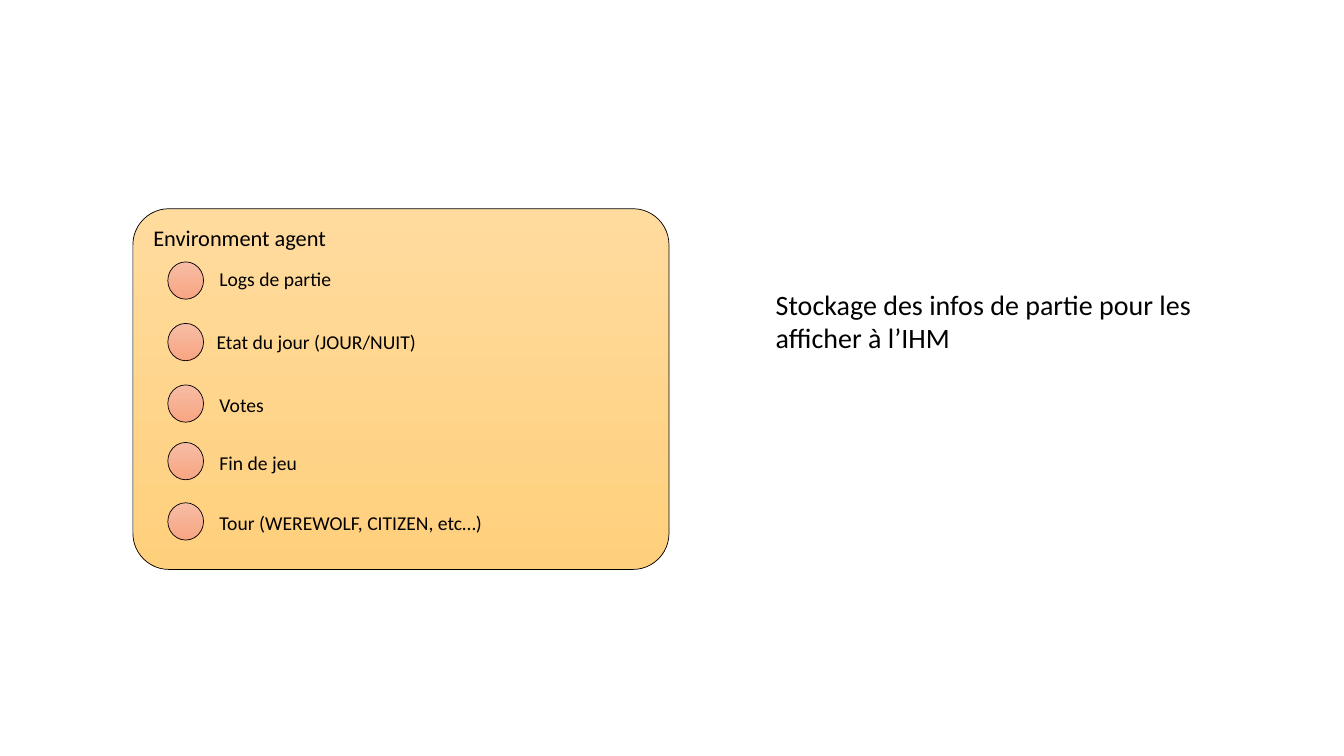
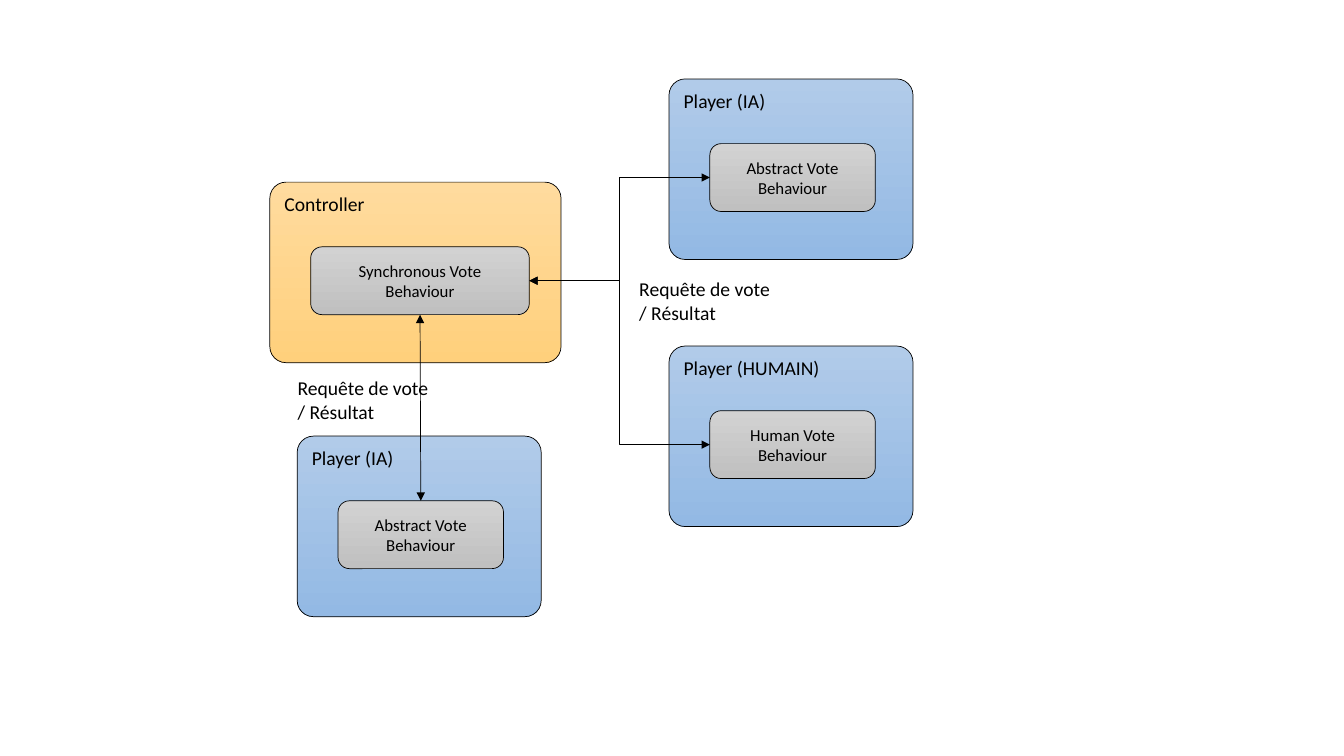
"""Build two slides on the agents of a voting game."""
from lxml import etree
from pptx import Presentation
from pptx.dml.color import RGBColor
from pptx.enum.shapes import MSO_CONNECTOR, MSO_SHAPE
from pptx.enum.text import MSO_ANCHOR, PP_ALIGN
from pptx.oxml.ns import qn
from pptx.util import Cm, Pt

ROUND, OVAL = MSO_SHAPE.ROUNDED_RECTANGLE, MSO_SHAPE.OVAL
ELBOW, STRAIGHT = MSO_CONNECTOR.ELBOW, MSO_CONNECTOR.STRAIGHT
TOP, MIDDLE = MSO_ANCHOR.TOP, MSO_ANCHOR.MIDDLE
LEFT, CENTER = PP_ALIGN.LEFT, PP_ALIGN.CENTER
NORTH, WEST, SOUTH, EAST = range(4)

BLACK = RGBColor(0x00, 0x00, 0x00)
GOLD = (RGBColor(0xFF, 0xDB, 0x9E), RGBColor(0xFF, 0xD0, 0x7C))
CORAL = (RGBColor(0xF7, 0xBD, 0xA5), RGBColor(0xF8, 0xA5, 0x82))
BLUE = (RGBColor(0xB1, 0xCB, 0xE9), RGBColor(0x93, 0xB9, 0xE4))
GRAY = (RGBColor(0xD2, 0xD2, 0xD2), RGBColor(0xC0, 0xC0, 0xC0))
FONT = "Calibri"
THIN = Pt(0.5)

ITEMS = [
    ("Logs de partie", 6.6, 5.28, 6.6),
    ("Etat du jour (JOUR/NUIT)", 8.15, 5.21, 8.18),
    ("Votes", 9.7, 5.28, 9.78),
    ("Fin de jeu", 11.15, 5.28, 11.25),
    ("Tour (WEREWOLF, CITIZEN, etc…)", 12.67, 5.28, 12.75),
]
REQUEST = "Requête de vote / Résultat"


def write(shape, text, size, align=LEFT, anchor=TOP):
    """Put wrapped black text into a shape."""
    frame = shape.text_frame
    frame.word_wrap = True
    frame.vertical_anchor = anchor
    frame.text = text
    para = frame.paragraphs[0]
    para.alignment = align
    font = para.runs[0].font
    font.name, font.size = FONT, Pt(size)
    font.color.rgb = BLACK


def add_box(slide, kind, x, y, w, h, tones):
    """Add an outlined shape shaded from top to bottom."""
    box = slide.shapes.add_shape(kind, Cm(x), Cm(y), Cm(w), Cm(h))
    box.shadow.inherit = False
    box.fill.gradient()
    box.fill.gradient_angle = 270
    for stop, tone, place in zip(box.fill.gradient_stops, tones, (0, 1)):
        stop.color.rgb = tone
        stop.position = place
    box.line.color.rgb = BLACK
    box.line.width = THIN
    return box


def add_label(slide, text, x, y, w, h, size):
    """Add a plain text box."""
    write(slide.shapes.add_textbox(Cm(x), Cm(y), Cm(w), Cm(h)), text, size)


def add_agent(slide, name, task, x, y, w, inner, tones):
    """Add an agent with its behaviour and return the behaviour box."""
    agent = add_box(slide, ROUND, x, y, w, 4.55, tones)
    agent.adjustments[0] = 0.09
    write(agent, name, 14)
    box = add_box(slide, ROUND, x + 1.03, y + 1.63, inner, 1.71, GRAY)
    write(box, task, 12, CENTER, MIDDLE)
    return box


def link(slide, kind, start, side, end, goal):
    """Join two boxes with a double-headed arrow."""
    line = slide.shapes.add_connector(kind, 0, 0, 0, 0)
    line.begin_connect(start, side)
    line.end_connect(end, goal)
    line.line.color.rgb = BLACK
    line.line.width = THIN
    stroke = line.line._get_or_add_ln()
    for tag in ("a:headEnd", "a:tailEnd"):
        etree.SubElement(stroke, qn(tag), type="triangle")
    etree.SubElement(line._element.spPr, qn("a:effectLst"))


def build_store(slide):
    """Show what the environment agent keeps."""
    panel = add_box(slide, ROUND, 3.35, 5.26, 13.51, 9.09, GOLD)
    panel.adjustments[0] = 0.1
    write(panel, "Environment agent", 16)
    for text, dot, left, top in ITEMS:
        add_box(slide, OVAL, 4.23, dot, 0.9, 0.94, CORAL)
        add_label(slide, text, left, top, 7.5, 0.86, 14)
    add_label(slide, "Stockage des infos de partie pour les afficher à l’IHM",
              19.3, 7.11, 12.88, 1.96, 20)


def build_vote(slide):
    """Show the vote requests between controller and players."""
    hub = add_agent(slide, "Controller", "Synchronous Vote Behaviour",
                    6.8, 4.59, 7.34, 5.51, GOLD)
    upper, lower, below = [
        add_agent(slide, name, task, x, y, 6.15, 4.17, BLUE)
        for name, task, x, y in (
            ("Player (IA)", "Abstract Vote Behaviour", 16.86, 1.99),
            ("Player (HUMAIN)", "Human Vote Behaviour", 16.86, 8.72),
            ("Player (IA)", "Abstract Vote Behaviour", 7.49, 10.99),
        )
    ]
    for player in (upper, lower):
        link(slide, ELBOW, hub, EAST, player, WEST)
    link(slide, STRAIGHT, hub, SOUTH, below, NORTH)
    for x, y in ((15.86, 6.86), (7.25, 9.36)):
        add_label(slide, REQUEST, x, y, 3.8, 1.45, 14)


def main():
    """Build and save the deck."""
    deck = Presentation()
    deck.slide_width, deck.slide_height = Cm(33.87), Cm(19.05)
    blank = deck.slide_layouts[6]
    for build in (build_store, build_vote):
        build(deck.slides.add_slide(blank))
    deck.save("out.pptx")


if __name__ == "__main__":
    main()
